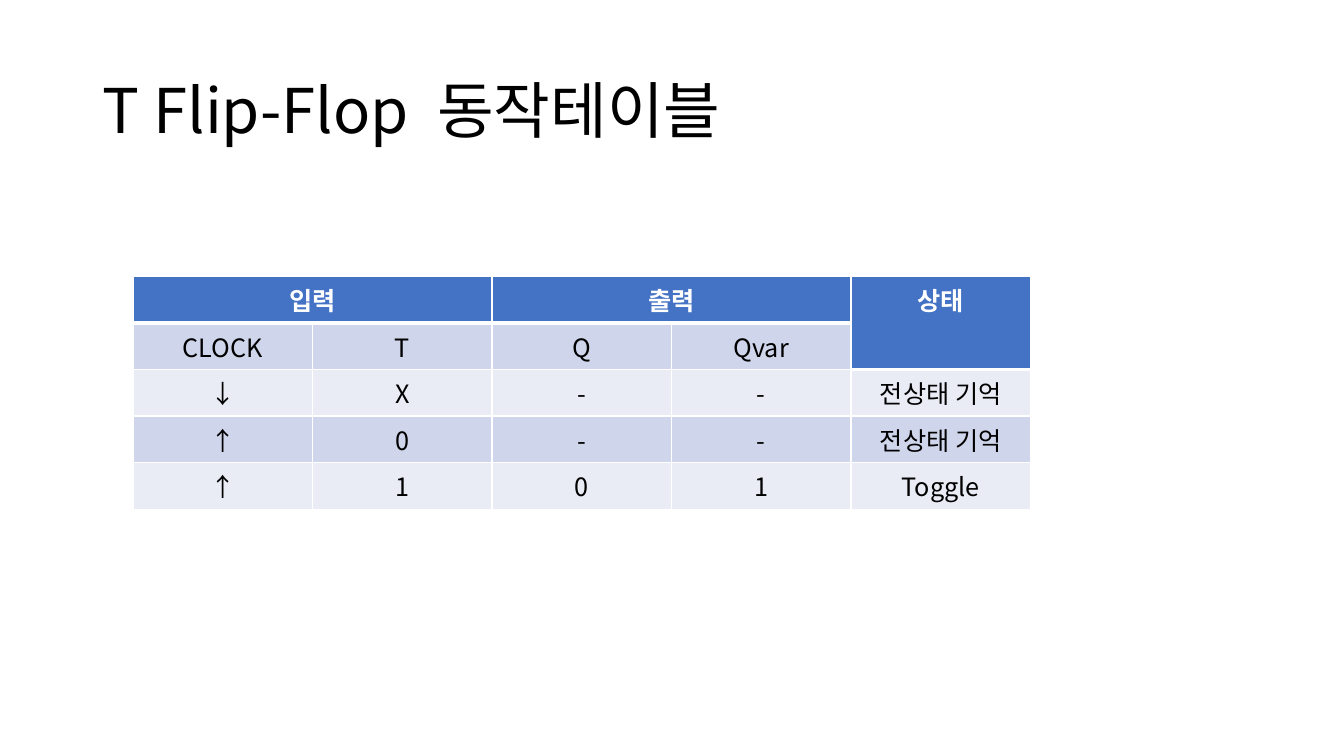
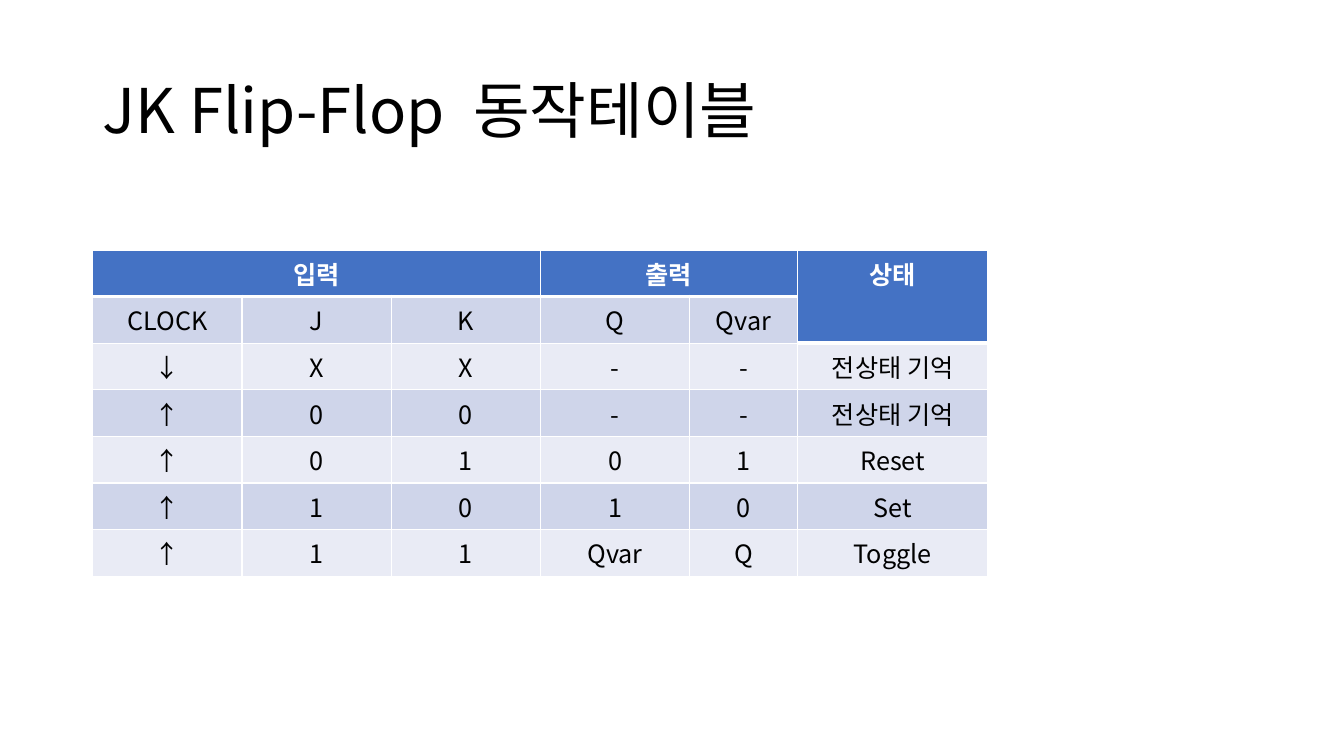
from dataclasses import dataclass

from lxml.etree import SubElement
from pptx import Presentation
from pptx.dml.color import RGBColor
from pptx.enum.text import MSO_ANCHOR, PP_ALIGN
from pptx.oxml.ns import qn
from pptx.util import Emu, Pt

EMU_PER_PX = 9144
SLIDE_SIZE = (1333, 750)
TITLE_BOX = (92, 40, 1150, 145)
TITLE_ONLY_LAYOUT = 5
ROW_HEIGHT = 41

FONT = "Noto Sans CJK KR"
BLACK = "000000"
WHITE = "FFFFFF"
HEADER_FILL = "4472C4"
BAND_FILLS = ("E9EBF5", "CFD5EA")
THIN, THICK = 1, 3


@dataclass(frozen=True)
class HeaderGroup:
    text: str
    columns: int


@dataclass(frozen=True)
class TruthTable:
    name: str
    left: int
    top: int
    column_widths: tuple[int, ...]
    groups: tuple[HeaderGroup, ...]
    rows: tuple[tuple[str, ...], ...]


TABLES = (
    TruthTable(
        name="T Flip-Flop",
        left=132,
        top=274,
        column_widths=(178,) * 5,
        groups=(HeaderGroup("입력", 2), HeaderGroup("출력", 2), HeaderGroup("상태", 1)),
        rows=(
            ("CLOCK", "T", "Q", "Qvar", ""),
            ("↓", "X", "-", "-", "전상태 기억"),
            ("↑", "0", "-", "-", "전상태 기억"),
            ("↑", "1", "0", "1", "Toggle"),
        ),
    ),
    TruthTable(
        name="JK Flip-Flop",
        left=92,
        top=248,
        column_widths=(148, 148, 148, 148, 107, 189),
        groups=(HeaderGroup("입력", 3), HeaderGroup("출력", 2), HeaderGroup("상태", 1)),
        rows=(
            ("CLOCK", "J", "K", "Q", "Qvar", ""),
            ("↓", "X", "X", "-", "-", "전상태 기억"),
            ("↑", "0", "0", "-", "-", "전상태 기억"),
            ("↑", "0", "1", "0", "1", "Reset"),
            ("↑", "1", "0", "1", "0", "Set"),
            ("↑", "1", "1", "Qvar", "Q", "Toggle"),
        ),
    ),
)


def px(length: int) -> Emu:
    return Emu(length * EMU_PER_PX)


def color(hex_code: str) -> RGBColor:
    return RGBColor.from_string(hex_code)


def format_runs(paragraph, size: int, hex_code: str, bold: bool = False) -> None:
    for run in paragraph.runs:
        run.font.name = FONT
        run.font.size = Pt(size)
        run.font.bold = bold
        run.font.color.rgb = color(hex_code)
        SubElement(run._r.get_or_add_rPr(), qn("a:ea"), typeface=FONT)


def add_title(slide, name: str) -> None:
    title = slide.shapes.title
    title.left, title.top, title.width, title.height = map(px, TITLE_BOX)
    title.text_frame.vertical_anchor = MSO_ANCHOR.MIDDLE
    paragraph = title.text_frame.paragraphs[0]
    for text in (name, " ", "동작테이블"):
        paragraph.add_run().text = text
    paragraph.alignment = PP_ALIGN.LEFT
    paragraph.line_spacing = 0.9
    format_runs(paragraph, 44, BLACK)
    # Tracking widens the gap between the name and the heading by 10 pt.
    paragraph.runs[1]._r.get_or_add_rPr().set("spc", "1000")


def set_borders(cell, top: int, bottom: int) -> None:
    properties = cell._tc.get_or_add_tcPr()
    for side, points in (("L", THIN), ("R", THIN), ("T", top), ("B", bottom)):
        line = SubElement(properties, qn(f"a:ln{side}"), w=str(Pt(points)))
        fill = SubElement(line, qn("a:solidFill"))
        SubElement(fill, qn("a:srgbClr"), val=WHITE)


def add_table(slide, spec: TruthTable) -> None:
    row_count, column_count = len(spec.rows) + 1, len(spec.column_widths)
    table = slide.shapes.add_table(
        row_count, column_count, px(spec.left), px(spec.top),
        px(sum(spec.column_widths)), px(ROW_HEIGHT * row_count),
    ).table
    for column, width in zip(table.columns, spec.column_widths):
        column.width = px(width)

    last_column = column_count - 1

    def is_header(row: int, column: int) -> bool:
        return row == 0 or (row == 1 and column == last_column)

    header_texts = [
        text for group in spec.groups
        for text in (group.text, *[""] * (group.columns - 1))
    ]
    for row, texts in enumerate((header_texts, *spec.rows)):
        table.rows[row].height = px(ROW_HEIGHT)
        for column, text in enumerate(texts):
            cell = table.cell(row, column)
            header = is_header(row, column)
            below_header = not header and is_header(row - 1, column)
            set_borders(cell, THICK if below_header else THIN, THICK if header else THIN)
            cell.fill.solid()
            cell.fill.fore_color.rgb = color(HEADER_FILL if header else BAND_FILLS[row % 2])
            paragraph = cell.text_frame.paragraphs[0]
            paragraph.text = text
            paragraph.alignment = PP_ALIGN.CENTER
            format_runs(paragraph, 18, WHITE if header else BLACK, bold=header)

    start = 0
    for group in spec.groups:
        end = start + group.columns - 1
        end_row = 1 if end == last_column else 0
        table.cell(0, start).merge(table.cell(end_row, end))
        start = end + 1


def main() -> None:
    presentation = Presentation()
    presentation.slide_width, presentation.slide_height = map(px, SLIDE_SIZE)
    layout = presentation.slide_layouts[TITLE_ONLY_LAYOUT]
    for truth_table in TABLES:
        slide = presentation.slides.add_slide(layout)
        add_title(slide, truth_table.name)
        add_table(slide, truth_table)
    presentation.save("out.pptx")


if __name__ == "__main__":
    main()
